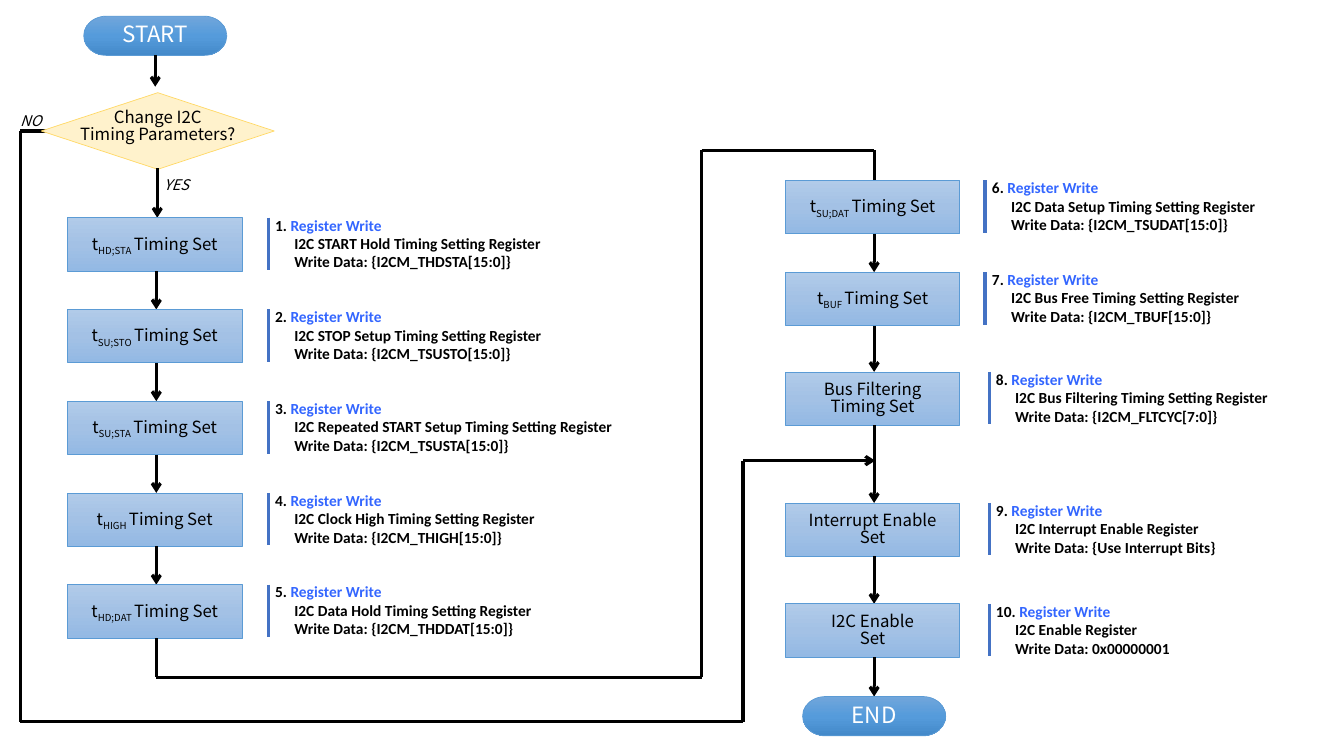
from copy import deepcopy

from pptx import Presentation
from pptx import util as u
from pptx.dml.color import RGBColor
from pptx.enum import shapes, text
from pptx.oxml import ns
from lxml import etree

BLACK = RGBColor(0x00, 0x00, 0x00)
WHITE = RGBColor(0xFF, 0xFF, 0xFF)
EDGE_BLUE = RGBColor(0x5B, 0x9B, 0xD5)
BAR_BLUE = RGBColor(0x44, 0x72, 0xC4)
ACTION_BLUE = RGBColor(0x33, 0x66, 0xFF)
CREAM = RGBColor(0xFF, 0xF2, 0xCC)
GOLD = RGBColor(0xFF, 0xD9, 0x66)
TERMINAL_SHADES = [RGBColor(0x71, 0xA6, 0xDB), RGBColor(0x55, 0x9B, 0xDB), RGBColor(0x44, 0x8A, 0xCA)]
STEP_SHADES = [RGBColor(0xB1, 0xCB, 0xE9), RGBColor(0xA3, 0xC1, 0xE5), RGBColor(0x93, 0xB9, 0xE4)]
FLOW_FONT = "Noto Sans CJK JP"
NOTE_FONT = "Calibri"
STEP_WIDTH, STEP_HEIGHT, FLOW_OFFSET = 1.73, 0.53, 0.88

LEFT_STEPS = [
    (["t", "HD;STA ", "Timing Set"], "I2C START Hold Timing Setting Register", "{I2CM_THDSTA[15:0]}"),
    (["t", "SU;STO ", "Timing Set"], "I2C STOP Setup Timing Setting Register", "{I2CM_TSUSTO[15:0]}"),
    (["t", "SU;STA ", "Timing Set"], "I2C Repeated START Setup Timing Setting Register", "{I2CM_TSUSTA[15:0]}"),
    (["t", "HIGH ", "Timing Set"], "I2C Clock High Timing Setting Register", "{I2CM_THIGH[15:0]}"),
    (["t", "HD;DAT ", "Timing Set"], "I2C Data Hold Timing Setting Register", "{I2CM_THDDAT[15:0]}"),
]
RIGHT_STEPS = [
    (1.79, 9.77, ["t", "SU;DAT ", "Timing Set"], "I2C Data Setup Timing Setting Register", "{I2CM_TSUDAT[15:0]}"),
    (2.7, 9.77, ["t", "BUF ", "Timing Set"], "I2C Bus Free Timing Setting Register", "{I2CM_TBUF[15:0]}"),
    (3.69, 9.81, "Bus Filtering Timing Set", "I2C Bus Filtering Timing Setting Register", "{I2CM_FLTCYC[7:0]}"),
    (4.99, 9.81, "Interrupt Enable Set", "I2C Interrupt Enable Register", "{Use Interrupt Bits}"),
    (5.99, 9.81, "I2C Enable\nSet", "I2C Enable Register", "0x00000001"),
]


def draw_route(slide, points, arrow=False, color=BLACK):
    """Join the points with straight lines, the last one ending in an arrowhead if asked."""
    legs = list(zip(points, points[1:]))
    for index, (start, end) in enumerate(legs):
        leg = slide.shapes.add_connector(
            shapes.MSO_CONNECTOR.STRAIGHT, *(u.Inches(value) for value in (*start, *end)))
        leg.line.color.rgb = color
        leg.line.width = u.Pt(2.25)
        if arrow and index == len(legs) - 1:
            etree.SubElement(leg.line._get_or_add_ln(), ns.qn("a:tailEnd"), type="arrow")
        etree.SubElement(leg._element.spPr, ns.qn("a:effectLst"))


def shade(block, shades):
    """Fill the block from top to bottom with three shades."""
    block.fill.gradient()
    block.fill.gradient_angle = 270
    first = block._element.spPr.find(".//" + ns.qn("a:gs"))
    first.addnext(deepcopy(first))
    for stop, color, position in zip(block.fill.gradient_stops, shades, (0, 0.5, 1)):
        stop.color.rgb = color
        stop.position = position


def add_block(slide, kind, box, edge):
    """Add a thinly outlined preset shape without a shadow."""
    block = slide.shapes.add_shape(kind, *map(u.Inches, box))
    block.shadow.inherit = False
    block.line.color.rgb = edge
    block.line.width = u.Pt(0.5)
    return block


def write_label(frame, label, size, color=BLACK, italic=False):
    """Write a centred label, where a list of parts has its second part lowered."""
    frame.vertical_anchor = text.MSO_ANCHOR.MIDDLE
    if isinstance(label, str):
        frame.text = label
    else:
        for part in label:
            frame.paragraphs[0].add_run().text = part
        frame.paragraphs[0].runs[1]._r.get_or_add_rPr().set("baseline", "-25000")
    for paragraph in frame.paragraphs:
        paragraph.alignment = text.PP_ALIGN.CENTER
        paragraph.line_spacing = 0.85
        for run in paragraph.runs:
            run.font.name = FLOW_FONT
            run.font.size = u.Pt(size)
            run.font.color.rgb = color
            run.font.italic = italic


def draw_terminal(slide, left, top, label):
    """Draw a rounded start or end block."""
    terminal = add_block(slide, shapes.MSO_SHAPE.FLOWCHART_TERMINATOR, (left, top, 1.42, 0.39), EDGE_BLUE)
    shade(terminal, TERMINAL_SHADES)
    terminal.text_frame.word_wrap = True
    write_label(terminal.text_frame, label, 16, WHITE)


def draw_decision(slide, left, top):
    """Draw the question diamond with its two answers."""
    diamond = add_block(slide, shapes.MSO_SHAPE.FLOWCHART_DECISION, (left, top, 2.31, 0.76), GOLD)
    diamond.fill.solid()
    diamond.fill.fore_color.rgb = CREAM
    captions = [
        ((0.24, 0.18, 1.83, 0.31), "Change I2C\nTiming Parameters?", 12, False),
        ((-0.32, 0.15, 0.43, 0.29), "NO", 10.5, True),
        ((1.09, 0.78, 0.5, 0.29), "YES", 10.5, True),
    ]
    for (dx, dy, width, height), caption, size, italic in captions:
        caption_box = slide.shapes.add_textbox(*map(u.Inches, (left + dx, top + dy, width, height)))
        caption_box.text_frame.word_wrap = False
        write_label(caption_box.text_frame, caption, size, italic=italic)


def draw_note(slide, bar, top, number, register, data):
    """Draw the register note with the bar at its left."""
    draw_route(slide, [(bar, top), (bar, top + 0.52)], color=BAR_BLUE)
    note = slide.shapes.add_textbox(*map(u.Inches, (bar - 0.03, top - 0.07, 4.08 if bar < 5 else 3.4, 0.66)))
    frame = note.text_frame
    frame.word_wrap = True
    frame.text = f"{number}. \n{register}\nWrite Data: {data}"
    heading, title, value = frame.paragraphs
    heading.add_run().text = "Register Write"
    for paragraph in frame.paragraphs:
        for run in paragraph.runs:
            run.font.name = NOTE_FONT
            run.font.size = u.Pt(11)
            run.font.bold = paragraph is not value
            run.font.color.rgb = BLACK
    heading.runs[1].font.color.rgb = ACTION_BLUE
    for paragraph in (title, value):
        paragraph._p.get_or_add_pPr().set("marL", str(u.Inches(0.19)))


def draw_step(slide, left, top, label):
    """Draw one setting block."""
    step = add_block(slide, shapes.MSO_SHAPE.RECTANGLE, (left, top, STEP_WIDTH, STEP_HEIGHT), EDGE_BLUE)
    shade(step, STEP_SHADES)
    step.text_frame.word_wrap = True
    write_label(step.text_frame, label, 12)


def draw_column(slide, left, steps, first_number, end=None):
    """Draw a column of steps with notes, joined by arrows down to the end height."""
    flow = left + FLOW_OFFSET
    following = [step[0] for step in steps[1:]] + [end]
    for number, (step, target) in enumerate(zip(steps, following), first_number):
        top, bar, label, register, data = step
        draw_step(slide, left, top, label)
        draw_note(slide, bar, top, number, register, data)
        if target:
            draw_route(slide, [(flow, top + STEP_HEIGHT), (flow, target)], arrow=True)


def draw_flow(slide):
    """Lay out both columns and the routes between them."""
    draw_terminal(slide, 0.83, 0.16, "START")
    draw_route(slide, [(1.54, 0.55), (1.54, 0.86)], arrow=True)
    draw_route(slide, [(0.53, 1.3), (0.2, 1.3), (0.2, 7.16), (7.37, 7.16), (7.37, 4.57), (8.68, 4.57)], arrow=True)
    draw_decision(slide, 0.41, 0.92)
    draw_route(slide, [(1.56, 1.67), (1.56, 2.16)], arrow=True)
    left_steps = [(2.16 + 0.91 * row, 2.66, *step) for row, step in enumerate(LEFT_STEPS)]
    draw_column(slide, 0.67, left_steps, 1)
    draw_route(slide, [(1.55, 6.33), (1.55, 6.72), (6.96, 6.72), (6.96, 1.49), (8.67, 1.49), (8.67, 1.79)])
    draw_column(slide, 7.79, RIGHT_STEPS, 6, end=6.91)
    draw_terminal(slide, 7.96, 6.91, "END")


def main():
    """Build and save the slide."""
    deck = Presentation()
    deck.slide_width, deck.slide_height = u.Inches(13.33), u.Inches(7.5)
    draw_flow(deck.slides.add_slide(deck.slide_layouts[6]))
    deck.save("out.pptx")


if __name__ == "__main__":
    main()
